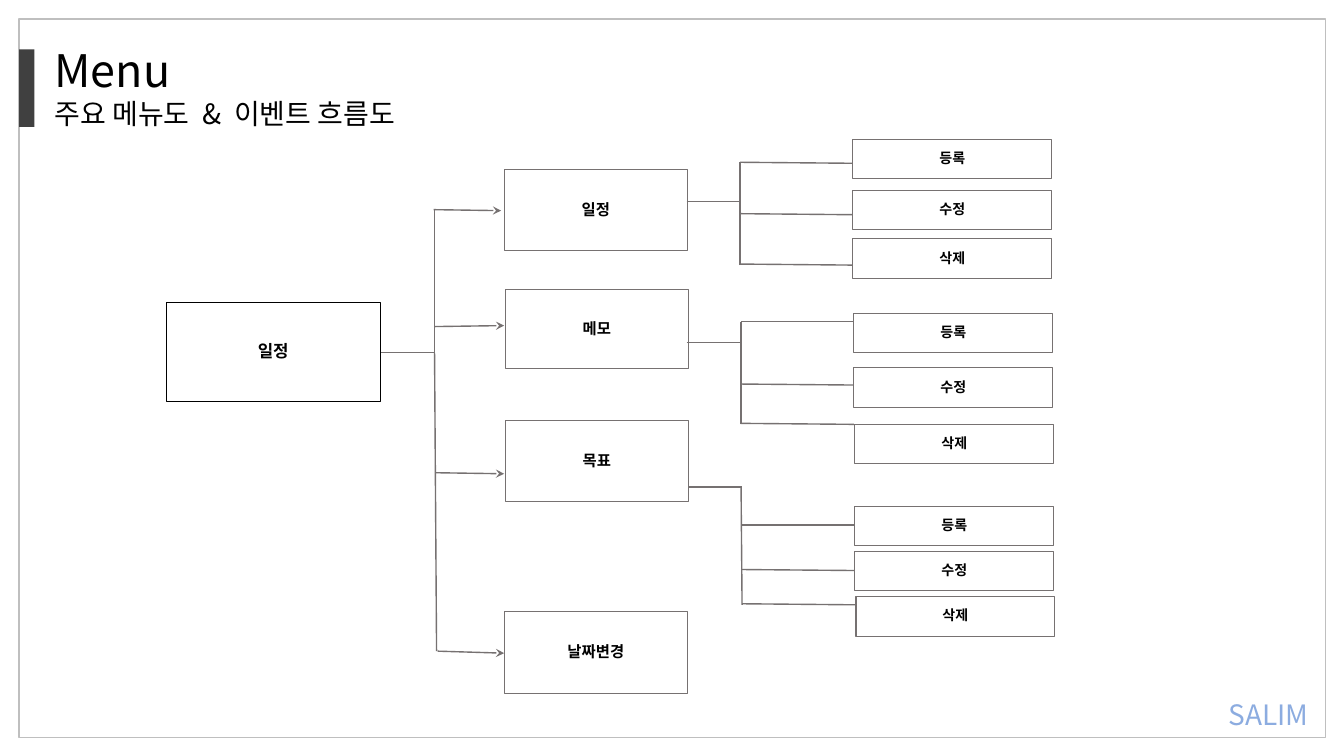
import pptx
import pptx.util
import pptx.dml.color
import pptx.enum.dml
import pptx.enum.shapes
import pptx.enum.text
import pptx.oxml
import pptx.oxml.ns
import lxml.etree

Inches, Pt = pptx.util.Inches, pptx.util.Pt
RGB = pptx.dml.color.RGBColor.from_string
qn = pptx.oxml.ns.qn
NS = pptx.oxml.ns.nsdecls("a")
RECT = pptx.enum.shapes.MSO_SHAPE.RECTANGLE
CENTER = pptx.enum.text.PP_ALIGN.CENTER
GROW = pptx.enum.text.MSO_AUTO_SIZE.SHAPE_TO_FIT_TEXT
HANGUL = "Noto Sans CJK KR"
COLORS = {"text": "000000", "paper": "FFFFFF", "line": "767171", "frame": "BFBFBF",
          "accent": "404040", "sky": "8CACE0", "pink": "FED3DC"}


def add_text(paragraph, text, size, font=HANGUL, bold=False, outline=0):
    run = paragraph.add_run()
    run.text = text
    run.font.name, run.font.size, run.font.bold = font, Pt(size), bold
    run.font.color.rgb = RGB(COLORS["text"])
    props = run.font._element
    east_asian = lxml.etree.Element(qn("a:ea"), typeface=HANGUL)
    props.find(qn("a:latin")).addnext(east_asian)
    if outline:
        props.insert(0, pptx.oxml.parse_xml(
            f'<a:ln {NS} w="{Pt(outline)}"><a:solidFill><a:srgbClr val="{COLORS["text"]}">'
            '<a:alpha val="50000"/></a:srgbClr></a:solidFill></a:ln>'))
    return run


def add_box(left, top, width, height, line=None, weight=0.75, fill=None, label="", size=10):
    box = slide.shapes.add_shape(RECT, Inches(left), Inches(top), Inches(width), Inches(height))
    box.shadow.inherit = False
    if fill:
        box.fill.solid()
        box.fill.fore_color.rgb = RGB(COLORS[fill])
    else:
        box.fill.background()
    if line:
        box.line.color.rgb = RGB(COLORS[line])
        box.line.width = Pt(weight)
    else:
        box.line.fill.background()
    if label:
        frame = box.text_frame
        frame.vertical_anchor = pptx.enum.text.MSO_ANCHOR.MIDDLE
        frame.margin_left = frame.margin_right = Inches(0.02)
        frame.margin_top = frame.margin_bottom = Inches(0.02)
        paragraph = frame.paragraphs[0]
        paragraph.alignment, paragraph.line_spacing = CENTER, 0.9
        paragraph._p.pPr.append(pptx.oxml.parse_xml(
            f'<a:spcAft {NS}><a:spcPct val="35000"/></a:spcAft>'))
        add_text(paragraph, label, size, "Arial", True, 0.5)


deck = pptx.Presentation()
deck.slide_width, deck.slide_height = Inches(13.33), Inches(7.5)
slide = deck.slides.add_slide(deck.slide_layouts[5])

# Page frame and accent bar
add_box(0.19, 0.19, 12.96, 7.13, line="frame", weight=1)
add_box(0.19, 0.49, 0.15, 0.77, fill="accent")

# Title and subtitle
heading = slide.shapes.title
heading.left, heading.top, heading.width, heading.height = map(Inches, (0.44, 0.37, 5.31, 0.98))
heading.text_frame.word_wrap = True
heading.text_frame.auto_size = GROW
heading.text_frame.vertical_anchor = pptx.enum.text.MSO_ANCHOR.TOP
menu_line = heading.text_frame.paragraphs[0]
subtitle_line = heading.text_frame.add_paragraph()
menu_line.alignment = subtitle_line.alignment = pptx.enum.text.PP_ALIGN.LEFT
add_text(menu_line, "Menu", 32, outline=0.75)
for piece in ("주요 메뉴도", " ", "&", " ", "이벤트 흐름도"):
    subtitle_run = add_text(subtitle_line, piece, 20, outline=0.75)
    if piece == " ":
        subtitle_run.font._element.set("spc", "450")

# Project name with gradient lettering
project = slide.shapes.add_textbox(Inches(12.01), Inches(6.87), Inches(1.14), Inches(0.44))
project.text_frame.word_wrap = True
project.text_frame.auto_size = GROW
project_line = project.text_frame.paragraphs[0]
project_line.alignment = CENTER
project_fill = add_text(project_line, "SALIM", 20).font.fill
project_fill.gradient()
project_fill.gradient_angle = 225
for stop, color, position in zip(project_fill.gradient_stops, ("sky", "pink"), (0.05, 0.84)):
    stop.color.rgb = RGB(COLORS[color])
    stop.position = position

# Root menu and its trunk
add_box(1.65, 3, 2.12, 0.98, "text", 0.5, "paper", "일정", 12)
lines = [(3.78, 3.5, 4.31, 3.5), (4.31, 3.51, 4.31, 2.07), (4.31, 3.5, 4.33, 6.46)]

# Menus: label, left, top, height, arrow into the box
menus = [("일정", 5, 1.68, 0.81, (4.3, 2.08, 4.97, 2.09)),
         ("메모", 5.01, 2.87, 0.79, (4.31, 3.24, 5, 3.23)),
         ("목표", 5.01, 4.17, 0.81, (4.32, 4.69, 5, 4.7)),
         ("날짜변경", 5, 6.07, 0.81, (4.34, 6.46, 5, 6.48))]
arrows = []
for label, left, top, height, arrow in menus:
    add_box(left, top, 1.82, height, "line", label=label, size=11)
    arrows.append(arrow)

# Actions of each menu: stub, spine, then (box left, box top, line start x, start y, end y)
actions = [
    ((6.81, 2, 7.34, 2), (7.34, 2.63, 7.34, 1.61),
     [(8.46, 1.38, 7.34, 1.61, 1.62), (8.46, 1.89, 7.33, 2.12, 2.13),
      (8.46, 2.37, 7.34, 2.62, 2.63)]),
    ((6.81, 3.4, 7.34, 3.4), (7.35, 4.21, 7.35, 3.19),
     [(8.47, 3.11, 7.35, 3.19, 3.19), (8.47, 3.65, 7.34, 3.81, 3.82),
      (8.48, 4.21, 7.35, 4.2, 4.21)]),
    ((6.83, 4.83, 7.36, 4.83), (7.36, 6, 7.35, 4.83),
     [(8.48, 5.02, 7.36, 5.21, 5.21), (8.48, 5.47, 7.36, 5.65, 5.66),
      (8.49, 5.92, 7.36, 5.99, 6)]),
]
for stub, spine, rows in actions:
    lines += [stub, spine]
    for label, (left, top, start_x, start_y, end_y) in zip(("등록", "수정", "삭제"), rows):
        add_box(left, top, 1.97, 0.39, "line", label=label)
        lines.append((start_x, start_y, left - 0.01, end_y))

# Connecting lines, with arrowheads on those that enter a menu
for ends in lines + arrows:
    link = slide.shapes.add_connector(pptx.enum.shapes.MSO_CONNECTOR.STRAIGHT, *map(Inches, ends))
    link.line.color.rgb = RGB(COLORS["line"])
    link.line.width = Pt(1)
    link_props = link._element.spPr
    if ends in arrows:
        lxml.etree.SubElement(link_props.find(qn("a:ln")), qn("a:tailEnd"), type="stealth")
    lxml.etree.SubElement(link_props, qn("a:effectLst"))

deck.save("out.pptx")
